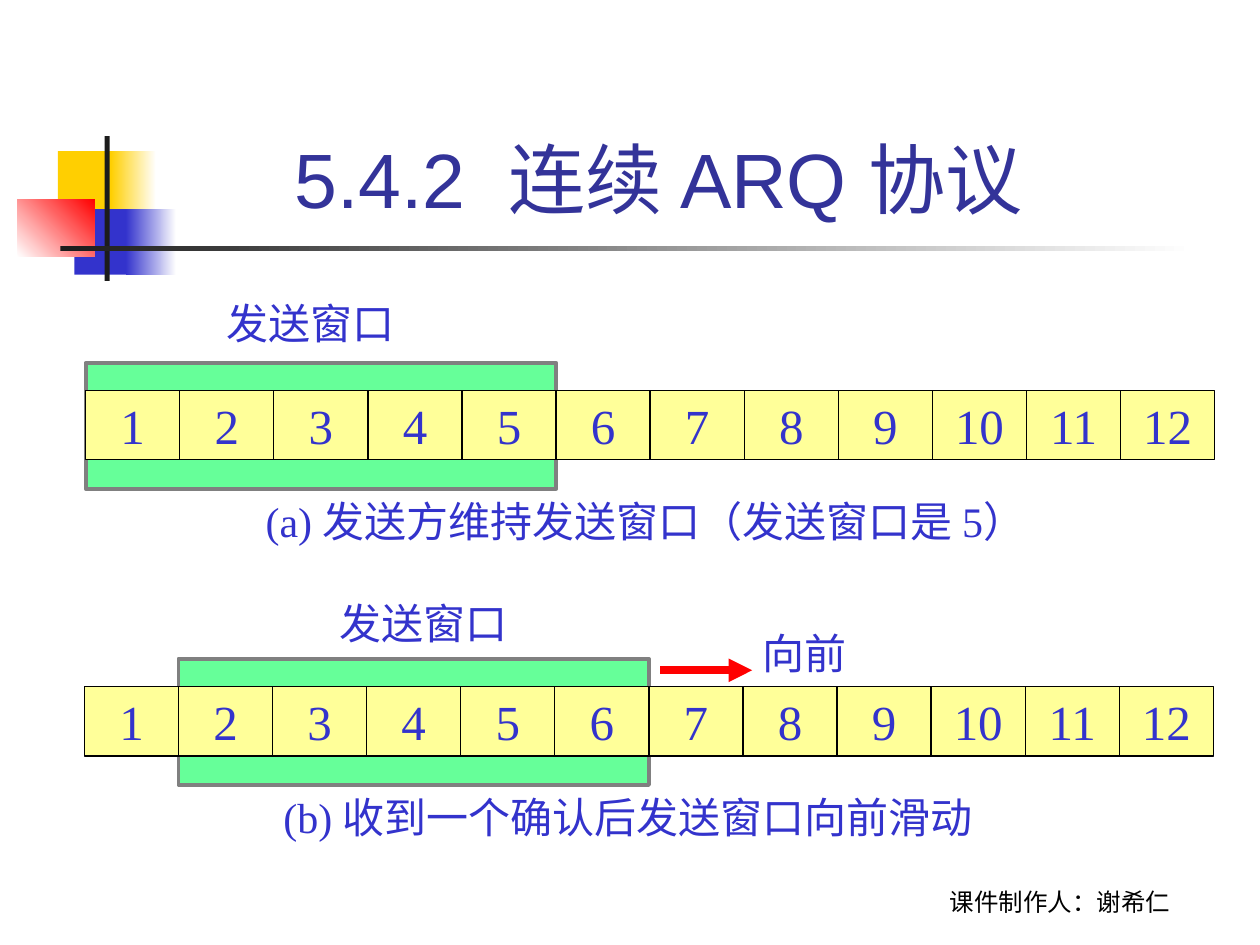
from lxml.etree import SubElement
from pptx import Presentation
from pptx.dml.color import RGBColor
from pptx.enum.shapes import MSO_CONNECTOR, MSO_SHAPE
from pptx.enum.text import MSO_ANCHOR as Anchor, MSO_AUTO_SIZE as AutoSize, PP_ALIGN as Align
from pptx.oxml.ns import qn
from pptx.util import Inches, Pt

BLACK = RGBColor(0x00, 0x00, 0x00)
WHITE = RGBColor(0xFF, 0xFF, 0xFF)
INK = RGBColor(0x1C, 0x1C, 0x1C)
GRAY = RGBColor(0x80, 0x80, 0x80)
BLUE = RGBColor(0x33, 0x33, 0xCC)
NAVY = RGBColor(0x33, 0x33, 0x99)
GOLD = RGBColor(0xFF, 0xCF, 0x01)
RED = RGBColor(0xFF, 0x00, 0x00)
GREEN = RGBColor(0x66, 0xFF, 0x99)
YELLOW = RGBColor(0xFF, 0xFF, 0x99)
SERIF = "Times New Roman"

TITLE = "5.4.2  连续 ARQ 协议 "
CREDIT = "课件制作人：谢希仁"
ORNAMENTS = [
    ((0.46, 1.2, 0.48, 0.52), (GOLD,), 0),
    ((0.88, 1.2, 0.36, 0.52), (GOLD, WHITE), 0),
    ((0.59, 1.66, 0.46, 0.52), (BLUE,), 0),
    ((1, 1.66, 0.4, 0.52), (BLUE, WHITE), 0),
    ((0.14, 1.58, 0.61, 0.46), (WHITE, RED), 45),
    ((0.83, 1.08, 0.04, 1.15), (INK,), 0),
    ((0.48, 1.95, 9, 0.04), (INK, WHITE), 0),
]
FRAMES = 12
WINDOW_SIZE = 5
STRIP_WIDTH, STRIP_HEIGHT = 8.96, 0.55
WINDOW_HEIGHT, WINDOW_RISE = 1, 0.22
CELL = STRIP_WIDTH / FRAMES
SENT = {
    "left": 0.68, "top": 3.1, "first": 0,
    "labels": [
        ("(a) 发送方维持发送窗口（发送窗口是 5）", (2.01, 3.88, 6.56, 0.5)),
        ("发送窗口", (1.7, 2.31, 1.53, 0.5)),
    ],
}
SLID = {
    "left": 0.67, "top": 5.45, "first": 1,
    "labels": [
        ("(b) 收到一个确认后发送窗口向前滑动", (2.15, 6.23, 5.75, 0.5)),
        ("向前", (5.95, 4.93, 0.9, 0.5)),
        ("发送窗口", (2.6, 4.69, 1.53, 0.5)),
    ],
}


def inches(*lengths):
    return [Inches(length) for length in lengths]


def add_rect(shapes, area, colors, angle=0, line=None):
    rect = shapes.add_shape(MSO_SHAPE.RECTANGLE, *inches(*area))
    rect.shadow.inherit = False
    if len(colors) == 1:
        rect.fill.solid()
        rect.fill.fore_color.rgb = colors[0]
    else:
        rect.fill.gradient()
        rect.fill.gradient_angle = angle
        for stop, color in zip(rect.fill.gradient_stops, colors):
            stop.color.rgb = color
    if line:
        rect.line.color.rgb, rect.line.width = line[0], Pt(line[1])
    else:
        rect.line.fill.background()


def add_line(shapes, ends, color, width):
    line = shapes.add_connector(MSO_CONNECTOR.STRAIGHT, *inches(*ends))
    line.line.color.rgb, line.line.width = color, Pt(width)
    SubElement(line._element.spPr, qn("a:effectLst"))
    return line


def write(box, text, size, font, color, align, anchor, wrap, fit=AutoSize.NONE):
    frame = box.text_frame
    frame.word_wrap, frame.auto_size, frame.vertical_anchor = wrap, fit, anchor
    para = frame.paragraphs[0]
    para.alignment = align
    span = para.add_run()
    span.text = text
    span.font.size, span.font.name = Pt(size), font
    span.font.color.rgb = color


def add_text(shapes, area, *style):
    write(shapes.add_textbox(*inches(*area)), *style)


def draw_sequence(shapes, left, top, first, labels):
    window = (left + first * CELL, top - WINDOW_RISE, WINDOW_SIZE * CELL, WINDOW_HEIGHT)
    add_rect(shapes, window, (GREEN,), line=(GRAY, 2.25))
    add_rect(shapes, (left, top, STRIP_WIDTH, STRIP_HEIGHT), (YELLOW,), line=(BLACK, 0.75))
    for index in range(FRAMES):
        x = left + index * CELL
        add_text(shapes, (x, top, CELL, STRIP_HEIGHT), str(index + 1), 28, SERIF, BLUE,
                 Align.CENTER, Anchor.MIDDLE, False)
        if index:
            add_line(shapes, (x, top, x, top + STRIP_HEIGHT), BLACK, 0.75)
    for text, area in labels:
        add_text(shapes, area, text, 24, SERIF, BLUE, Align.LEFT, Anchor.TOP, False,
                 AutoSize.SHAPE_TO_FIT_TEXT)


def main():
    deck = Presentation()
    deck.slide_width, deck.slide_height = inches(10, 7.5)
    page = deck.slides.add_slide(deck.slide_layouts[5])
    for area, colors, angle in ORNAMENTS:
        add_rect(page.shapes, area, colors, angle)

    title = page.shapes.title
    title.left, title.top, title.width, title.height = inches(1.26, 0.23, 8.07, 1.6)
    write(title, TITLE, 44, "Arial", NAVY, Align.CENTER, Anchor.BOTTOM, True)
    add_text(page.shapes, (6.83, 6.82, 3.17, 0.5), CREDIT, 14, "Cabin", BLACK,
             Align.CENTER, Anchor.BOTTOM, True)

    draw_sequence(page.shapes, **SENT)
    slid_group = page.shapes.add_group_shape()
    draw_sequence(slid_group.shapes, **SLID)
    arrow = add_line(slid_group.shapes, (5.24, 5.32, 5.97, 5.32), RED, 4.5)
    SubElement(arrow.line._get_or_add_ln(), qn("a:tailEnd"), type="triangle")
    deck.save("out.pptx")


if __name__ == "__main__":
    main()
